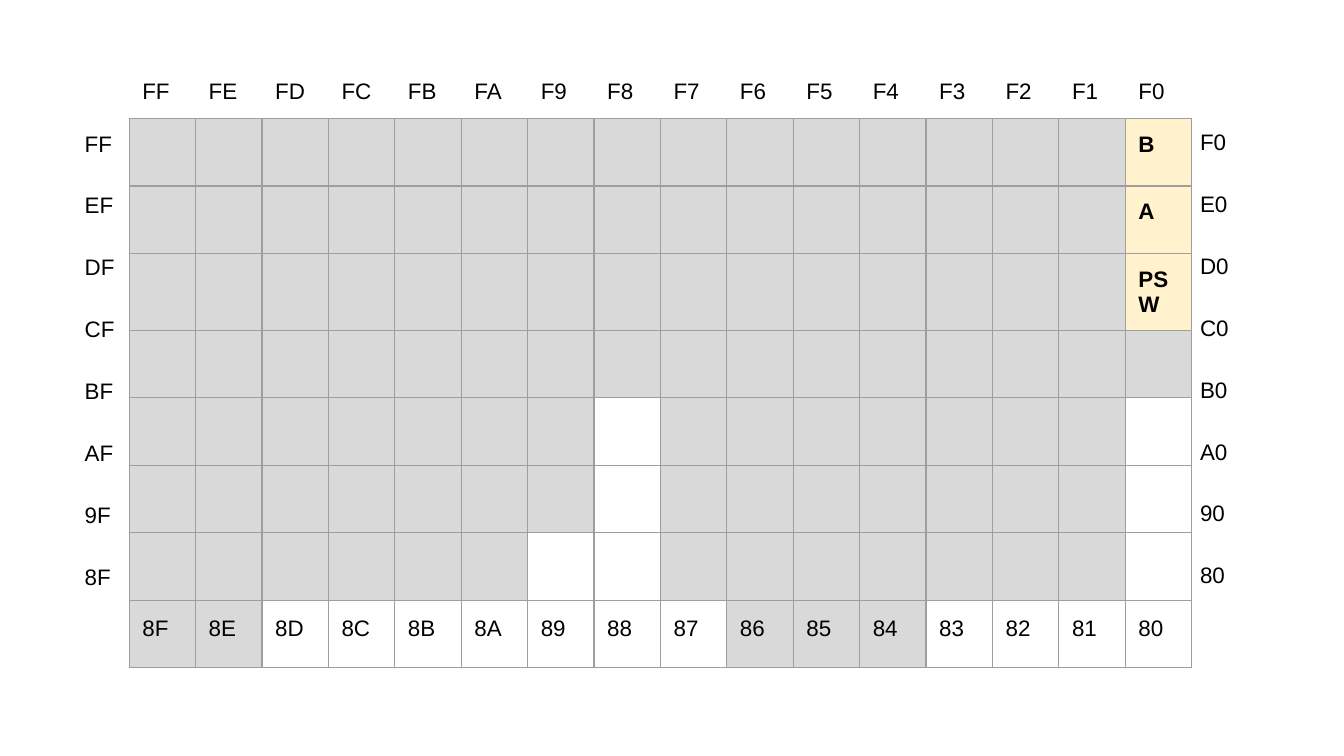
import pptx
import pptx.util
import pptx.dml.color
import pptx.oxml
import pptx.oxml.ns
from pptx.util import Cm

# Content: one address label per column or row
TOP_LABELS = "FF FE FD FC FB FA F9 F8 F7 F6 F5 F4 F3 F2 F1 F0".split()
BOTTOM_LABELS = "8F 8E 8D 8C 8B 8A 89 88 87 86 85 84 83 82 81 80".split()
LEFT_LABELS = "FF EF DF CF BF AF 9F 8F".split()
RIGHT_LABELS = "F0 E0 D0 C0 B0 A0 90 80".split()

# Memory map: # is unused, . is free, R is a named register
MEMORY_MAP = [
    "###############R",
    "###############R",
    "###############R",
    "################",
    "#######.#######.",
    "#######.#######.",
    "######..#######.",
    "##.......###....",
]
REGISTERS = {(0, 15): "B", (1, 15): "A", (2, 15): "PSW"}

THEME = {
    "font": "Arial",
    "size": 12,
    "text": "000000",
    "border": "9E9E9E",
    "border_width": 0.75,
    "fills": {"#": "D9D9D9", "R": "FFF2CC", ".": None},
}

# Layout in centimetres
MAP_LEFT, MAP_TOP = 2.44, 2.24
MAP_COLUMN = 20.09 / len(TOP_LABELS)
MAP_ROW = 1.07
SIDE_ROW = 1.17
INSET = 0.25


def rgb(value):
    return pptx.dml.color.RGBColor.from_string(value)


def write_text(cell, text, bold=False):
    span = cell.text_frame.paragraphs[0].add_run()
    span.text = text
    span.font.name = THEME["font"]
    span.font.size = pptx.util.Pt(THEME["size"])
    span.font.bold = bold
    span.font.color.rgb = rgb(THEME["text"])


def set_borders(cell, color):
    """Draw all four cell edges, or hide them when color is None."""
    properties = cell._tc.get_or_add_tcPr()
    namespace = pptx.oxml.ns.nsdecls("a")
    width = pptx.util.Pt(THEME["border_width"])
    paint = "<a:noFill/>"
    if color:
        paint = f'<a:solidFill><a:srgbClr val="{color}"/></a:solidFill>'
    for edge in ("lnL", "lnR", "lnT", "lnB"):
        properties.append(pptx.oxml.parse_xml(
            f'<a:{edge} {namespace} w="{width}">{paint}</a:{edge}>'))


def add_grid(page, rows, left, top, column_width, row_height,
             fills=None, border=None, bold=False):
    """Add a table from rows of text, with optional fill codes per cell."""
    row_count, column_count = len(rows), len(rows[0])
    table = page.shapes.add_table(
        row_count, column_count, Cm(left), Cm(top),
        Cm(column_width * column_count), Cm(row_height * row_count)).table
    table.first_row = table.horz_banding = False
    for column in table.columns:
        column.width = Cm(column_width)
    for r, row in enumerate(rows):
        table.rows[r].height = Cm(row_height)
        for c, text in enumerate(row):
            cell = table.cell(r, c)
            cell.margin_left = cell.margin_right = Cm(INSET)
            cell.margin_top = cell.margin_bottom = Cm(INSET)
            set_borders(cell, border)
            color = THEME["fills"][fills[r][c]] if fills else None
            if color:
                cell.fill.solid()
                cell.fill.fore_color.rgb = rgb(color)
            else:
                cell.fill.background()
            if text:
                write_text(cell, text, bold=bold)


def main():
    deck = pptx.Presentation()
    deck.slide_width, deck.slide_height = Cm(25.4), Cm(14.29)
    page = deck.slides.add_slide(deck.slide_layouts[6])

    # Memory map
    names = [[REGISTERS.get((r, c), "") for c in range(len(row))]
             for r, row in enumerate(MEMORY_MAP)]
    add_grid(page, names, MAP_LEFT, MAP_TOP, MAP_COLUMN, MAP_ROW,
             fills=MEMORY_MAP, border=THEME["border"], bold=True)

    # Column addresses
    for labels, top in ((BOTTOM_LABELS, 11.4), (TOP_LABELS, 1.24)):
        add_grid(page, [labels], MAP_LEFT, top, MAP_COLUMN, MAP_ROW)

    # Row addresses
    for labels, left, top, width in ((LEFT_LABELS, 1.35, 2.24, 1.5),
                                     (RIGHT_LABELS, 22.43, 2.21, 1.3)):
        add_grid(page, [[label] for label in labels], left, top, width, SIDE_ROW)

    deck.save("out.pptx")


if __name__ == "__main__":
    main()
